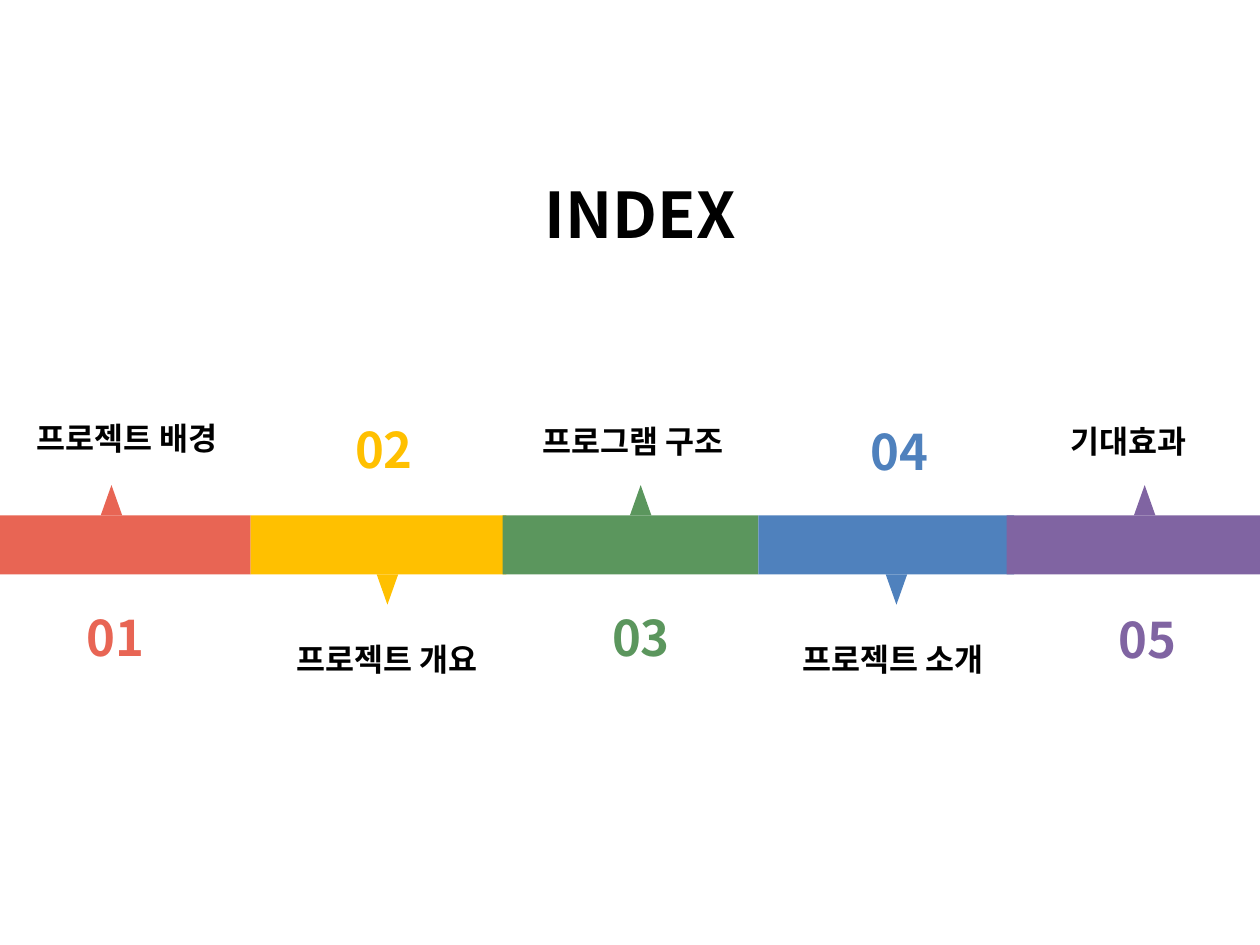
from lxml import etree
from pptx import Presentation
from pptx import util as u
from pptx.dml.color import RGBColor
from pptx.enum import shapes, text
from pptx.oxml.ns import qn

FONT = "Noto Sans CJK KR"
BLACK = "000000"
TITLE = "INDEX"

# Sections: label, colour, bar left, pointer left, points up,
# label (left, top, width), number (left, top)
SECTIONS = [
    ("프로젝트 배경", "E86554", -0.04, 0.80, True, (0.04, 3.28, 1.93), (0.59, 4.77)),
    ("프로젝트 개요", "FFC000", 1.99, 2.99, False, (2.01, 5.03, 2.13), (2.72, 3.28)),
    ("프로그램 구조", "5B965D", 3.99, 5.00, True, (4.06, 3.30, 1.93), (4.76, 4.77)),
    ("프로젝트 소개", "4F81BD", 6.02, 7.03, False, (6.02, 5.03, 2.13), (6.81, 3.30)),
    ("기대효과", "8064A2", 7.99, 9.00, True, (7.99, 3.30, 1.93), (8.78, 4.79)),
]
BAR_TOP, BAR_WIDTH, BAR_HEIGHT = 4.09, 2.03, 0.47
POINTER_WIDTH, POINTER_HEIGHT = 0.17, 0.24


def colour(value):
    return RGBColor.from_string(value)


def inches(*lengths):
    return [u.Inches(length) for length in lengths]


def write(box, words, size, ink, align):
    frame = box.text_frame
    layout = {"word_wrap": True, "auto_size": text.MSO_AUTO_SIZE.NONE,
              "vertical_anchor": text.MSO_ANCHOR.TOP}
    for name, value in layout.items():
        setattr(frame, name, value)
    para = frame.paragraphs[0]
    para.alignment = align
    span = para.add_run()
    span.text = words
    style = {"name": FONT, "size": u.Pt(size), "bold": True}
    for name, value in style.items():
        setattr(span.font, name, value)
    span.font.color.rgb = colour(ink)
    # Korean letters take the East Asian typeface
    latin = span.font._element.find(qn("a:latin"))
    east_asian = etree.Element(qn("a:ea"), typeface=FONT)
    latin.addnext(east_asian)


def add_block(page, kind, place, fill):
    block = page.shapes.add_shape(kind, *inches(*place))
    block.shadow.inherit = False
    block.fill.solid()
    block.fill.fore_color.rgb = colour(fill)
    block.line.fill.background()
    return block


def add_label(page, place, *style):
    write(page.shapes.add_textbox(*inches(*place)), *style)


def main():
    deck = Presentation()
    deck.slide_width, deck.slide_height = inches(10, 7.5)
    page = deck.slides.add_slide(deck.slide_layouts[5])
    centre, left = text.PP_ALIGN.CENTER, text.PP_ALIGN.LEFT

    # Title
    title = page.shapes.title
    title.left, title.top, title.width, title.height = inches(4.2, 1.34, 1.76, 0.71)
    write(title, TITLE, 36, BLACK, centre)

    # Colour band with a pointer, label and number for each section
    for number, section in enumerate(SECTIONS, 1):
        label, fill, bar_left, pointer_left, up, label_at, number_at = section
        add_block(page, shapes.MSO_SHAPE.RECTANGLE,
                  (bar_left, BAR_TOP, BAR_WIDTH, BAR_HEIGHT), fill)
        pointer_top = BAR_TOP - POINTER_HEIGHT if up else BAR_TOP + BAR_HEIGHT
        pointer = add_block(page, shapes.MSO_SHAPE.ISOSCELES_TRIANGLE,
                            (pointer_left, pointer_top, POINTER_WIDTH, POINTER_HEIGHT), fill)
        if not up:
            pointer._element.spPr.xfrm.set("flipV", "1")
        add_label(page, (*label_at, 0.64), label, 18, BLACK, centre)
        add_label(page, (*number_at, 0.71, 0.57), f"{number:02}", 28, fill, left)

    deck.save("out.pptx")


if __name__ == "__main__":
    main()
